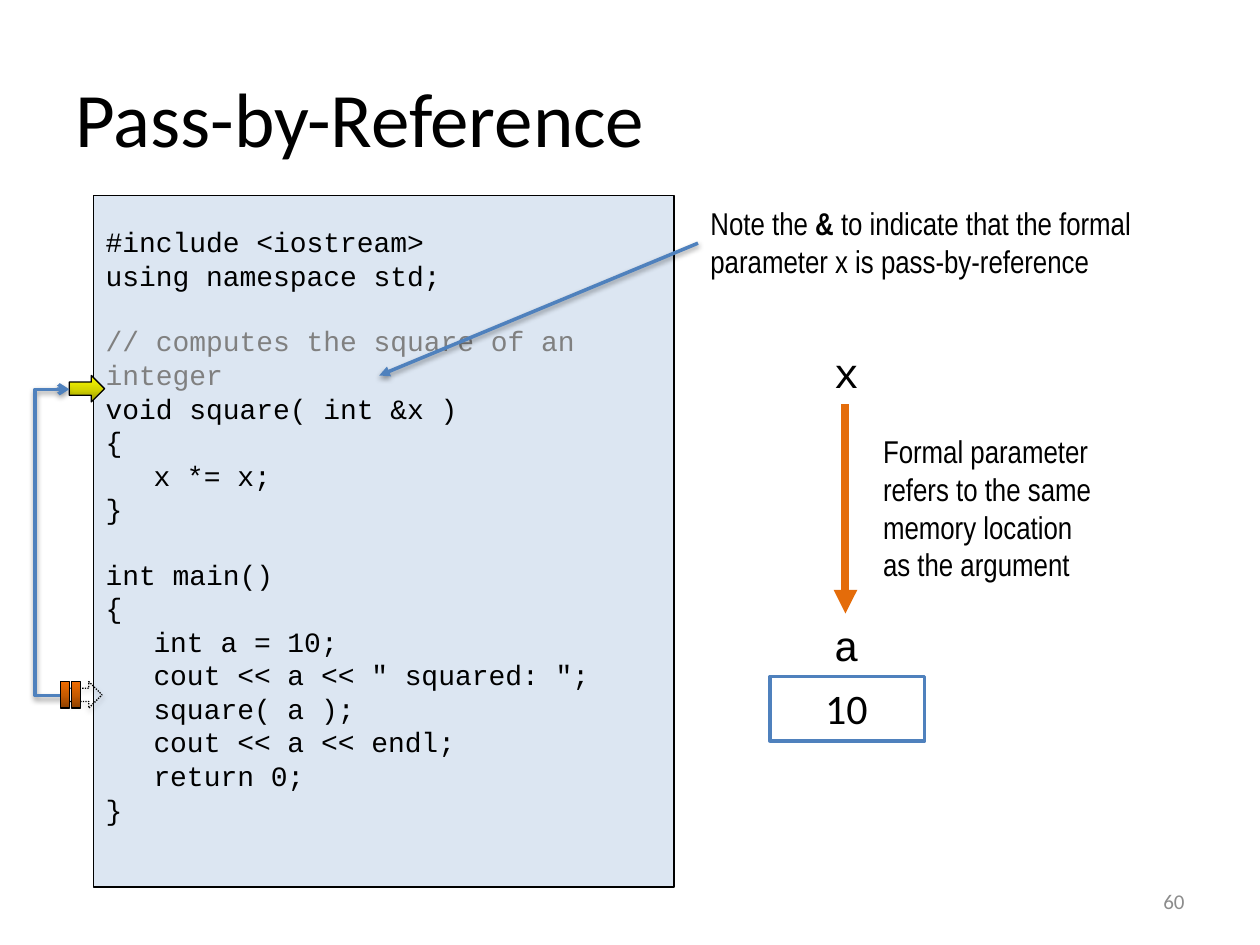
import pptx
import pptx.util
import pptx.dml.color
import pptx.enum.dml
import pptx.enum.shapes
import pptx.enum.text
import pptx.oxml
import pptx.oxml.ns

Inches = pptx.util.Inches
Pt = pptx.util.Pt
SHAPE = pptx.enum.shapes.MSO_SHAPE
LINK = pptx.enum.shapes.MSO_CONNECTOR
ALIGN = pptx.enum.text.PP_ALIGN
MIDDLE = pptx.enum.text.MSO_ANCHOR.MIDDLE
DOTS = pptx.enum.dml.MSO_LINE.ROUND_DOT
qn = pptx.oxml.ns.qn

BLUE = "4F81BD"
ORANGE = ("8D4000", "C85B00", "EE6B00")
YELLOW = ("979700", "D7D700", "FFFF00")

# Code lines: blank marks start a new block
CODE = """#include <iostream>
using namespace std;

// computes the square of an integer
void square( int &x )
{
\tx *= x;
}

int main()
{
\tint a = 10;
\tcout << a << " squared: ";
\tsquare( a );
\tcout << a << endl;
\treturn 0;
}"""


def color(code):
    return pptx.dml.color.RGBColor.from_string(code)


def node(xml):
    space = pptx.oxml.ns.nsdecls("a")
    return pptx.oxml.parse_xml(xml.replace(">", f" {space}>", 1))


def style(font, size, name, code="000000", bold=False):
    form = {"size": Pt(size), "name": name, "bold": bold}
    for key, value in form.items():
        setattr(font, key, value)
    font.color.rgb = color(code)


def shade(alpha, blur, drop):
    return node(
        f'<a:outerShdw blurRad="{Pt(blur)}" dist="{Pt(drop)}" dir="5400000" '
        f'rotWithShape="0"><a:srgbClr val="000000">'
        f'<a:alpha val="{alpha * 1000}"/></a:srgbClr></a:outerShdw>')


def label(slide, at, runs, size, name, code="000000", wrap=True,
          align=ALIGN.LEFT, anchor=None):
    frame = slide.shapes.add_textbox(*map(Inches, at)).text_frame
    frame.word_wrap = wrap
    if anchor is not None:
        frame.vertical_anchor = anchor
    para = frame.paragraphs[0]
    para.alignment = align
    for text, bold in runs:
        run = para.add_run()
        run.text = text
        style(run.font, size, name, code, bold)


def block(slide, at, kind=SHAPE.RECTANGLE, fill=None, line="000000",
          width=0.75):
    shape = slide.shapes.add_shape(kind, *map(Inches, at))
    shape.shadow.inherit = False
    shape.line.color.rgb = color(line)
    shape.line.width = Pt(width)
    if fill:
        shape.fill.solid()
        shape.fill.fore_color.rgb = color(fill)
    else:
        shape.fill.background()
    return shape


def blend(shape, codes):
    # Runs from the bottom edge up to the top
    stops = "".join(
        f'<a:gs pos="{pos * 50000}"><a:srgbClr val="{code}"/></a:gs>'
        for pos, code in enumerate(codes))
    props = shape._element.spPr
    props.replace(props.find(qn("a:noFill")), node(
        f'<a:gradFill rotWithShape="1"><a:gsLst>{stops}</a:gsLst>'
        f'<a:lin ang="16200000" scaled="0"/></a:gradFill>'))


def arrow(slide, start, end, code, width, head="triangle",
          kind=LINK.STRAIGHT, shadow=False):
    link = slide.shapes.add_connector(kind, *map(Inches, start + end))
    link.line.color.rgb = color(code)
    link.line.width = Pt(width)
    props = link._element.spPr
    props.find(qn("a:ln")).append(
        node(f'<a:tailEnd type="{head}"></a:tailEnd>'))
    effect = node("<a:effectLst></a:effectLst>")
    if shadow:
        effect.append(shade(38, 3.1, 1.6))
    props.append(effect)
    return link


def bend(link, ratio):
    geom = link._element.spPr.find(qn("a:prstGeom"))
    for old in geom.findall(qn("a:avLst")):
        geom.remove(old)
    geom.append(node(
        f'<a:avLst><a:gd name="adj1" fmla="val {round(ratio * 100000)}"/>'
        f'</a:avLst>'))


def listing(slide, at):
    frame = block(slide, at, fill="DCE6F2").text_frame
    frame.word_wrap = True
    frame.vertical_anchor = MIDDLE
    frame.margin_bottom = Inches(0.3)
    para, gap = frame.paragraphs[0], False
    for row, text in enumerate(CODE.split("\n")):
        if not text:
            gap = True
            continue
        if row:
            para = frame.add_paragraph()
        para.alignment = ALIGN.LEFT
        if gap:
            para.space_before = Pt(18.1)
            gap = False
        para._p.get_or_add_pPr().append(node(
            "<a:tabLst>" + "".join(
                f'<a:tab pos="{Inches(pos)}" algn="l"/>'
                for pos in (0.38, 0.75)) + "</a:tabLst>"))
        run = para.add_run()
        run.text = text
        note = text.startswith("//")
        style(run.font, 16, "Courier New", "808080" if note else "000000")


def flow(slide):
    # Call marker, jump line and paused marker
    blend(block(slide, (0.55, 2.98, 0.28, 0.21), SHAPE.RIGHT_ARROW), YELLOW)
    jump = arrow(slide, (0.53, 5.52), (0.55, 3.09), BLUE, 2, "arrow",
                 LINK.ELBOW, True)
    bend(jump, -12.5)
    ghost = block(slide, (0.53, 5.41, 0.28, 0.21), SHAPE.RIGHT_ARROW)
    ghost.line.dash_style = DOTS
    ghost._element.spPr.find(qn("a:effectLst")).append(shade(35, 3.1, 1.8))
    for left in (0.48, 0.57):
        blend(block(slide, (left, 5.41, 0.07, 0.21)), ORANGE)


def memory(slide):
    # Both names lead to one stored value
    block(slide, (6.11, 5.37, 1.23, 0.51), fill="FFFFFF", line=BLUE, width=2)
    for name, top in (("a", 4.87), ("x", 2.7)):
        label(slide, (6.52, top, 0.39, 0.5), [(name, False)], 24,
              "Courier New", wrap=False)
    label(slide, (6.45, 5.37, 0.76, 0.5), [("10", False)], 24, "Calibri")
    arrow(slide, (6.71, 3.21), (6.71, 4.87), "E46C0A", 4.5)
    label(slide, (6.91, 3.38, 1.92, 1.31),
          [("Formal parameter refers to the same memory location "
            "as the argument", False)], 18, "Arial Narrow")


def main():
    deck = pptx.Presentation()
    deck.slide_width, deck.slide_height = Inches(10), Inches(7.5)
    slide = deck.slides.add_slide(deck.slide_layouts[6])

    # Title and page number
    label(slide, (0.5, 0.3, 9, 1.25), [("Pass-by-Reference", False)], 44,
          "Calibri", anchor=MIDDLE)
    label(slide, (7.17, 6.95, 2.33, 0.4), [("60", False)], 12, "Calibri",
          "8C8C8C", align=ALIGN.RIGHT, anchor=MIDDLE)

    # Code and memory
    listing(slide, (0.74, 1.55, 4.61, 5.49))
    flow(slide)
    memory(slide)

    # Note on the reference sign
    label(slide, (5.54, 1.57, 3.9, 0.71),
          [("Note the ", False), ("&", True),
           (" to indicate that the formal parameter x is "
            "pass-by-reference", False)], 18, "Arial Narrow")
    arrow(slide, (5.54, 1.93), (3.01, 2.98), BLUE, 2, shadow=True)

    deck.save("out.pptx")


if __name__ == "__main__":
    main()
